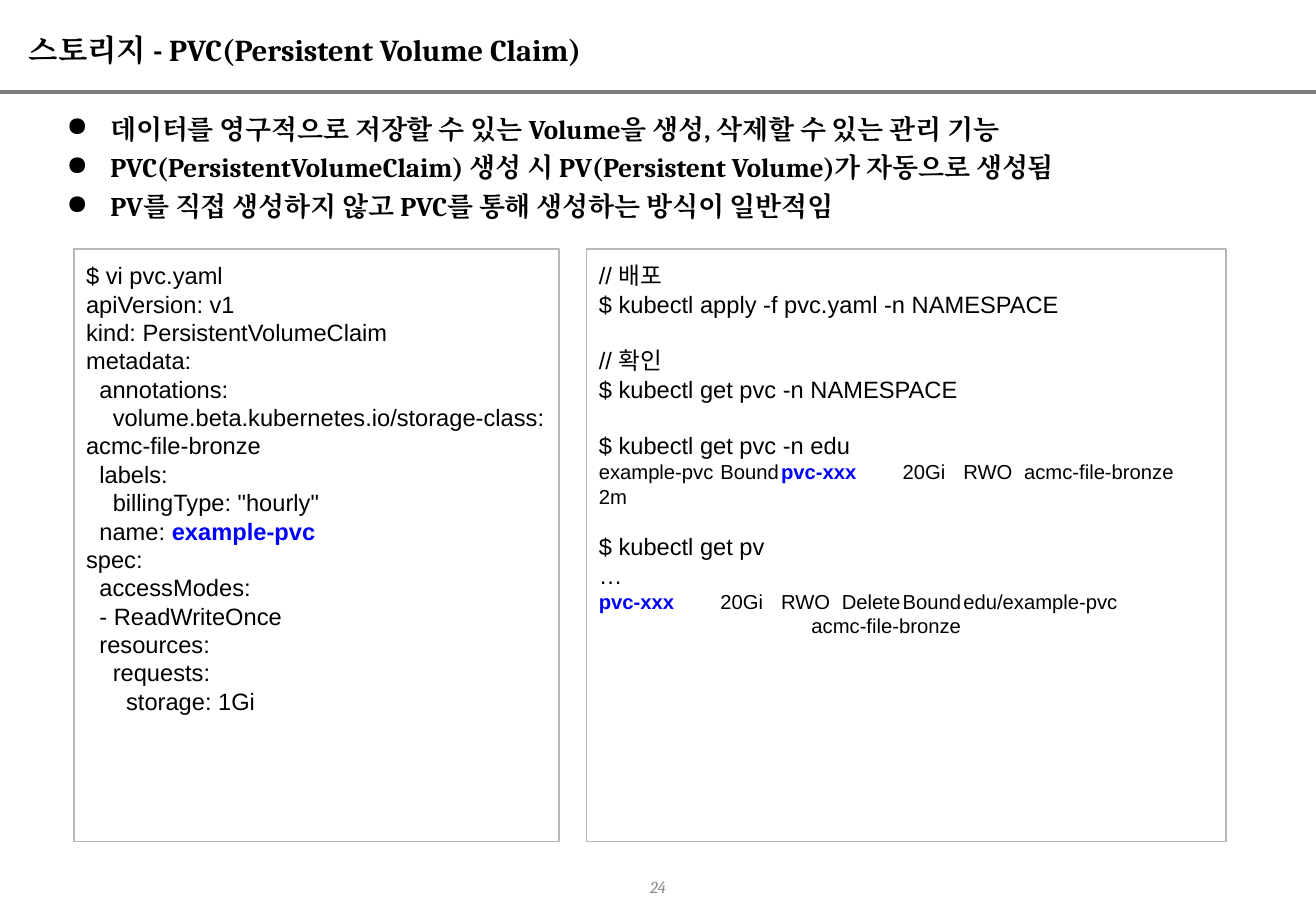
from lxml.etree import SubElement
from pptx import Presentation
from pptx.dml.color import RGBColor
from pptx.enum.shapes import MSO_CONNECTOR, MSO_SHAPE
from pptx.enum.text import MSO_ANCHOR, PP_ALIGN
from pptx.oxml.ns import qn
from pptx.util import Inches, Pt

COLORS = {"text": "000000", "mark": "0000FF", "rule": "7F7F7F",
          "edge": "B7B7B7", "page": "888888"}
STEP = 0.11  # indent of one YAML level
GAP = 16.8   # one empty code line, in points

TITLE = "스토리지 - PVC(Persistent Volume Claim)"
POINTS = [
    "데이터를 영구적으로 저장할 수 있는 Volume을 생성, 삭제할 수 있는 관리 기능",
    "PVC(PersistentVolumeClaim) 생성 시 PV(Persistent Volume)가 자동으로 생성됨",
    "PV를 직접 생성하지 않고 PVC를 통해 생성하는 방식이 일반적임",
]
# Level and text; stars enclose the marked words
YAML = [
    (0, "$ vi pvc.yaml"),
    (0, "apiVersion: v1"),
    (0, "kind: PersistentVolumeClaim"),
    (0, "metadata:"),
    (1, "annotations:"),
    (2, "volume.beta.kubernetes.io/storage-class: acmc-file-bronze"),
    (1, "labels:"),
    (2, 'billingType: "hourly"'),
    (1, "name: *example-pvc*"),
    (0, "spec:"),
    (1, "accessModes:"),
    (1, "- ReadWriteOnce"),
    (1, "resources:"),
    (2, "requests:"),
    (3, "storage: 1Gi"),
]
# Text and its format
SHELL = [
    ("// 배포", {}),
    ("$ kubectl apply -f pvc.yaml -n NAMESPACE", {}),
    ("// 확인", {"before": GAP}),
    ("$ kubectl get pvc -n NAMESPACE", {}),
    ("$ kubectl get pvc -n edu", {"before": GAP}),
    ("example-pvc\tBound\t*pvc-xxx*\t20Gi\tRWO\tacmc-file-bronze\t2m",
     {"size": 12, "tabs": (1.09, 1.75, 2.46, 2.95, 3.45, 4.77)}),
    ("$ kubectl get pv", {"before": 14.2}),
    ("…", {}),
    ("*pvc-xxx*\t20Gi\tRWO\tDelete\tBound\tedu/example-pvc",
     {"size": 12, "tabs": (0.72, 1.29, 1.93, 2.59, 3.22)}),
    ("acmc-file-bronze", {"size": 12, "left": 1.75}),
]


def tint(name):
    return RGBColor.from_string(COLORS[name])


def write(frame, text, size=14, font="Arial", color="text", bold=False,
          italic=False, align=PP_ALIGN.LEFT, left=0, first=0, before=0,
          space=None, bullet=None, tabs=()):
    """Add one paragraph; words between stars are bold in the mark colour."""
    para = frame.paragraphs[0]
    if para.runs:
        para = frame.add_paragraph()
    para.alignment = align
    para.space_before = Pt(before)
    if space:
        para.line_spacing = space
    props = para._p.get_or_add_pPr()
    props.set("marL", str(Inches(left)))
    props.set("indent", str(Inches(first)))
    if bullet:
        tone = SubElement(props, qn("a:buClr"))
        SubElement(tone, qn("a:srgbClr"), val=COLORS[color])
        SubElement(props, qn("a:buChar"), char=bullet)
    if tabs:
        stops = SubElement(props, qn("a:tabLst"))
        for stop in tabs:
            SubElement(stops, qn("a:tab"), pos=str(Inches(stop)), algn="l")
    for i, part in enumerate(text.split("*")):
        if not part:
            continue
        mark = i % 2 == 1
        run = para.add_run()
        run.text = part
        run.font.size = Pt(size)
        run.font.name = font
        run.font.bold = bold or mark
        run.font.italic = italic
        run.font.color.rgb = tint("mark" if mark else color)
        SubElement(run._r.get_or_add_rPr(), qn("a:ea"), typeface=font)


def label(slide, x, y, w, h, anchor=MSO_ANCHOR.TOP):
    box = slide.shapes.add_textbox(Inches(x), Inches(y), Inches(w), Inches(h))
    frame = box.text_frame
    frame.word_wrap = True
    frame.vertical_anchor = anchor
    return frame


def panel(slide, x, w):
    box = slide.shapes.add_shape(MSO_SHAPE.RECTANGLE, Inches(x), Inches(2.05),
                                 Inches(w), Inches(4.88))
    box.shadow.inherit = False
    box.fill.background()
    box.line.color.rgb = tint("edge")
    box.line.width = Pt(0.75)
    frame = box.text_frame
    frame.word_wrap = True
    frame.vertical_anchor = MSO_ANCHOR.TOP
    frame.margin_top = frame.margin_bottom = Inches(0.1)
    return frame


def rule(slide, y, width):
    line = slide.shapes.add_connector(MSO_CONNECTOR.STRAIGHT, 0, Inches(y),
                                      Inches(width), Inches(y))
    line.line.color.rgb = tint("rule")
    line.line.width = Pt(2.25)
    SubElement(line._element.spPr, qn("a:effectLst"))


def main():
    deck = Presentation()
    deck.slide_width, deck.slide_height = Inches(10.83), Inches(7.5)
    slide = deck.slides.add_slide(deck.slide_layouts[6])

    # Header and page number
    rule(slide, 0.76, 10.83)
    page = label(slide, 4.15, 7.18, 2.53, 0.24, MSO_ANCHOR.MIDDLE)
    write(page, "24", size=10, font="Cambria", color="page", italic=True,
          align=PP_ALIGN.CENTER)
    head = label(slide, 0.14, 0.21, 10.55, 0.39, MSO_ANCHOR.MIDDLE)
    write(head, TITLE, size=18, font="Cambria", bold=True)

    # Key points
    body = label(slide, 0.31, 0.82, 10.24, 1.08)
    for point in POINTS:
        write(body, point, size=16, font="Cambria", bold=True, left=0.5,
              first=-0.36, space=1.2, bullet="●")

    # Manifest
    code = panel(slide, 0.61, 3.99)
    for level, text in YAML:
        write(code, text, first=level * STEP)

    # Commands
    shell = panel(slide, 4.83, 5.26)
    for text, form in SHELL:
        write(shell, text, **form)

    deck.save("out.pptx")


if __name__ == "__main__":
    main()
